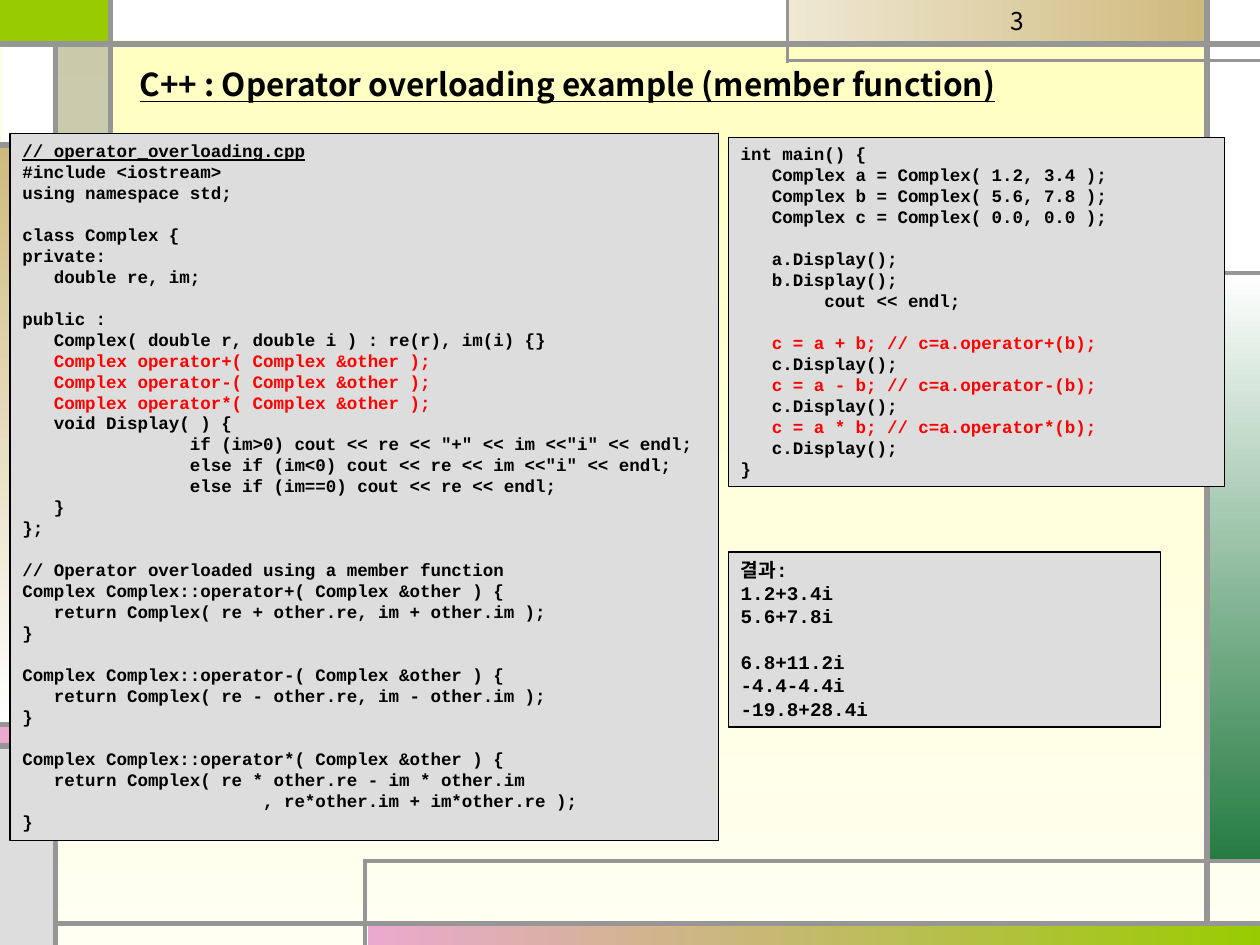
"""Build a slide with a C++ operator overloading example and its output."""
from lxml.etree import SubElement
from pptx import Presentation
from pptx.dml.color import RGBColor
from pptx.enum.shapes import MSO_CONNECTOR as Connector, MSO_SHAPE as Shape
from pptx.enum.text import MSO_ANCHOR as Anchor, PP_ALIGN as Align
from pptx.oxml.ns import qn
from pptx.util import Inches, Pt

BLACK = RGBColor(0x00, 0x00, 0x00)
RED = RGBColor(0xFF, 0x00, 0x00)
WHITE = RGBColor(0xFF, 0xFF, 0xFF)
GRAY = RGBColor(0x96, 0x96, 0x96)
PANEL = RGBColor(0xDD, 0xDD, 0xDD)
LIME = RGBColor(0x99, 0xCC, 0x00)
PINK = RGBColor(0xEB, 0xA9, 0xD0)
GREEN = RGBColor(0x24, 0x7C, 0x41)
SAND = RGBColor(0xCF, 0xBA, 0x7D)
PALE_SAND = RGBColor(0xEF, 0xE8, 0xD3)
YELLOW = RGBColor(0xFF, 0xFF, 0xBF)
CREAM = RGBColor(0xFF, 0xFF, 0xF2)

SANS, MONO = "Noto Sans CJK KR", "Courier New"
RIGHTWARD, DOWNWARD = 0, 270

TITLE = "C++ : Operator overloading example (member function)"
PAGE_NUMBER = "3"

CLASS_CODE = """// operator_overloading.cpp
#include <iostream>
using namespace std;

class Complex {
private:
   double re, im;

public :
   Complex( double r, double i ) : re(r), im(i) {}
   Complex operator+( Complex &other );
   Complex operator-( Complex &other );
   Complex operator*( Complex &other );
   void Display( ) {
                if (im>0) cout << re << "+" << im <<"i" << endl;
                else if (im<0) cout << re << im <<"i" << endl;
                else if (im==0) cout << re << endl;
   }
};
"""

OPERATOR_CODE = """// Operator overloaded using a member function
Complex Complex::operator+( Complex &other ) {
   return Complex( re + other.re, im + other.im );
}

Complex Complex::operator-( Complex &other ) {
   return Complex( re - other.re, im - other.im );
}

Complex Complex::operator*( Complex &other ) {
   return Complex( re * other.re - im * other.im
                       , re*other.im + im*other.re );
}"""

MAIN_CODE = """int main() {
   Complex a = Complex( 1.2, 3.4 );
   Complex b = Complex( 5.6, 7.8 );
   Complex c = Complex( 0.0, 0.0 );

   a.Display();
   b.Display();
        cout << endl;

   c = a + b; // c=a.operator+(b);
   c.Display();
   c = a - b; // c=a.operator-(b);
   c.Display();
   c = a * b; // c=a.operator*(b);
   c.Display();
}"""

RESULT = """결과:
1.2+3.4i
5.6+7.8i

6.8+11.2i
-4.4-4.4i
-19.8+28.4i"""

RED_STARTS = ("   Complex operator", "   c = ")
UNDERLINED_START = "// operator_overloading"

LISTINGS = [
    ((CLASS_CODE, OPERATOR_CODE), 10, (0.08, 1.06, 5.62, 5.61)),
    ((MAIN_CODE,), 10, (5.78, 1.09, 3.94, 2.77)),
    ((RESULT,), 11, (5.78, 4.38, 3.43, 1.39)),
]

TILES = [
    ((0, 0, 0.87, 0.34), LIME),
    ((2.92, 7.33, 7.08, 0.17), (PINK, LIME, RIGHTWARD)),
    ((9.58, 2.17, 0.42, 4.67), (WHITE, GREEN, DOWNWARD)),
    ((0, 5.75, 0.42, 0.17), PINK),
    ((0, 5.93, 0.42, 1.57), PANEL),
    ((9.58, 0, 0.42, 2.17), WHITE),
    ((6.25, 0, 3.33, 0.33), (PALE_SAND, SAND, RIGHTWARD)),
    ((0.46, 0.33, 0.42, 0.82), GRAY),
    ((0, 1.15, 0.42, 4.58), (SAND, WHITE, DOWNWARD)),
    ((0.01, 0.33, 0.42, 0.82), WHITE),
    ((0.86, 0, 5.39, 0.32), WHITE),
]
TRANSLUCENT = GRAY

RULES = {
    3: [
        (0.44, 7.5, 0.44, 0.33), (0.44, 7.33, 10, 7.33),
        (9.58, 7.33, 9.58, 0), (0, 0.35, 10, 0.35),
        (0.88, 0, 0.88, 1.17), (0.86, 1.15, 0, 1.15),
        (0.46, 5.75, 0, 5.75), (0.46, 5.92, 0, 5.92),
    ],
    2.25: [
        (10, 0.48, 6.25, 0.48), (6.25, 0.5, 6.25, 0),
        (9.58, 2.17, 10, 2.17), (2.9, 7.5, 2.9, 6.82),
        (2.89, 6.83, 10, 6.83),
    ],
}


def apply(target, **values):
    for name, value in values.items():
        setattr(target, name, value)


def paint(fill, colour):
    if isinstance(colour, RGBColor):
        fill.solid()
        fill.fore_color.rgb = colour
        return
    *ends, angle = colour
    fill.gradient()
    fill.gradient_angle = angle
    for stop, end in zip(fill.gradient_stops, ends):
        stop.color.rgb = end


def add_panel(slide, place, colour):
    panel = slide.shapes.add_shape(Shape.RECTANGLE, *map(Inches, place))
    panel.shadow.inherit = False
    paint(panel.fill, colour)
    panel.line.fill.background()
    return panel


def add_rule(slide, ends, weight):
    rule = slide.shapes.add_connector(Connector.STRAIGHT, *map(Inches, ends))
    rule.line.color.rgb = GRAY
    rule.line.width = Pt(weight)
    SubElement(rule._element.spPr, qn("a:effectLst"))


def write_line(paragraph, text, size, colour=BLACK, **values):
    paragraph.alignment = Align.LEFT
    paragraph.font.size = Pt(size)
    if text:
        run = paragraph.add_run()
        run.text = text
        apply(run.font, size=Pt(size), **values)
        run.font.color.rgb = colour
        SubElement(run._r.rPr, qn("a:ea"), typeface=SANS)


def add_listing(slide, parts, size, place):
    panel = add_panel(slide, place, PANEL)
    panel.line.color.rgb = BLACK
    panel.line.width = Pt(0.75)
    frame = panel.text_frame
    apply(frame, word_wrap=True, vertical_anchor=Anchor.TOP)
    lines = [line for part in parts for line in part.split("\n")]
    for index, text in enumerate(lines):
        paragraph = frame.add_paragraph() if index else frame.paragraphs[0]
        paragraph.line_spacing = Pt(size * 1.2)
        write_line(paragraph, text, size, name=MONO, bold=True,
                   underline=text.startswith(UNDERLINED_START),
                   colour=RED if text.startswith(RED_STARTS) else BLACK)


def add_label(slide, text, place, size, wrap, **values):
    frame = slide.shapes.add_textbox(*map(Inches, place)).text_frame
    frame.word_wrap = wrap
    write_line(frame.paragraphs[0], text, size, name=SANS, **values)


def main():
    deck = Presentation()
    apply(deck, slide_width=Inches(10), slide_height=Inches(7.5))
    slide = deck.slides.add_slide(deck.slide_layouts[6])
    paint(slide.background.fill, (YELLOW, CREAM, DOWNWARD))
    for place, colour in TILES:
        tile = add_panel(slide, place, colour)
        if colour == TRANSLUCENT:
            tint = tile._element.spPr.find(".//" + qn("a:srgbClr"))
            SubElement(tint, qn("a:alpha"), val="50000")
    for weight, rules in RULES.items():
        for ends in rules:
            add_rule(slide, ends, weight)
    add_label(slide, PAGE_NUMBER, (7.92, 0, 2.08, 0.5), 14, True)
    for parts, size, place in LISTINGS:
        add_listing(slide, parts, size, place)
    add_label(slide, TITLE, (1.01, 0.47, 7.1, 0.4), 18, False,
              bold=True, underline=True)
    deck.save("out.pptx")


if __name__ == "__main__":
    main()
